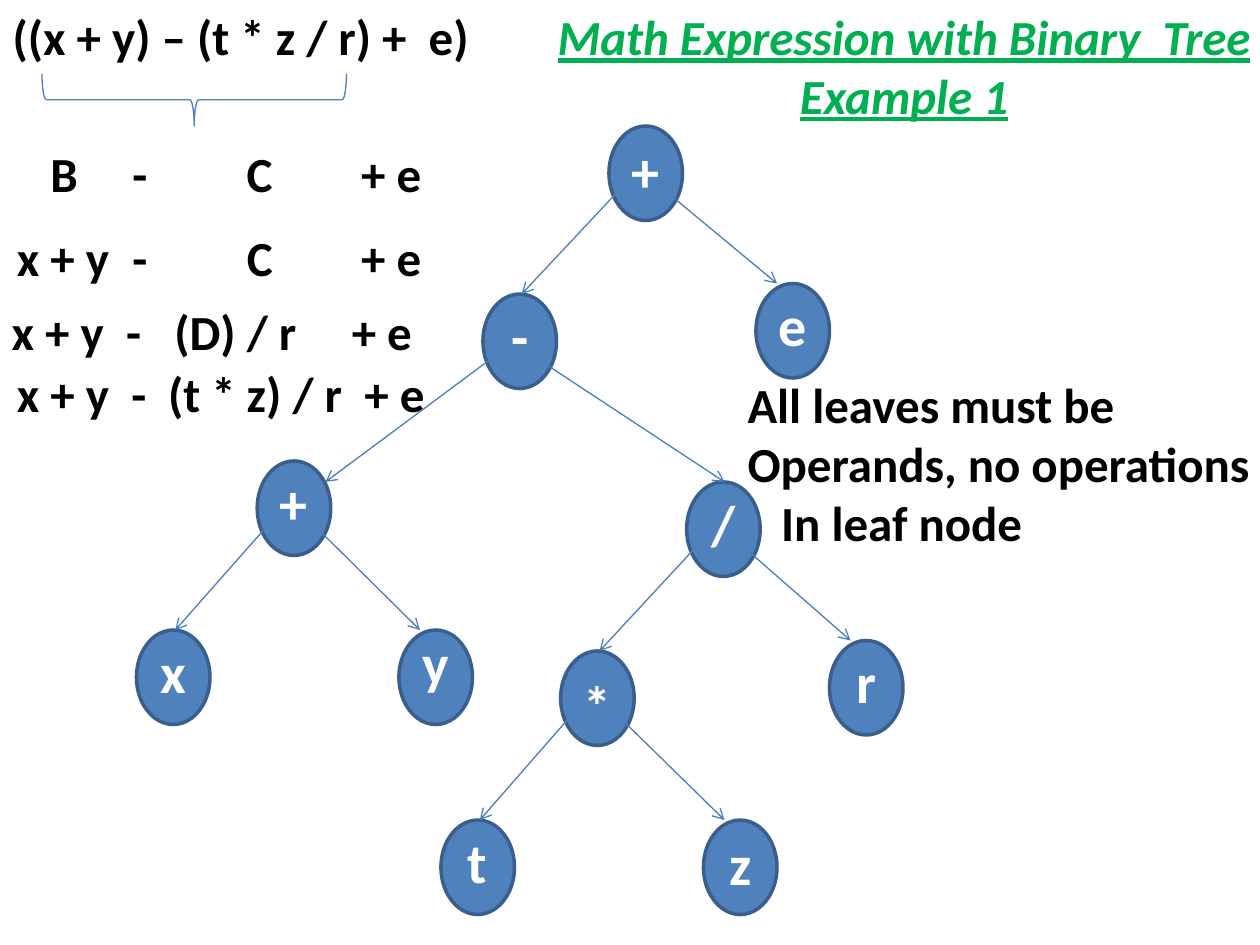
from dataclasses import dataclass
from lxml.etree import SubElement
from pptx import Presentation
from pptx.dml.color import RGBColor
from pptx.enum.shapes import MSO_CONNECTOR, MSO_SHAPE
from pptx.enum.text import MSO_ANCHOR, MSO_AUTO_SIZE, PP_ALIGN
from pptx.oxml.ns import qn
from pptx.util import Inches, Pt


@dataclass(frozen=True)
class Theme:
    """Colours, font and type sizes of the slide."""
    font: str = "Calibri"
    ink: str = "000000"
    heading: str = "00B050"
    node: str = "4F81BD"
    outline: str = "3A5F8C"
    edge: str = "4B7EBC"
    label: str = "FFFFFF"
    text_size: int = 28
    label_size: int = 32


def grid(cells):
    """Turn grid cells, twelve to the inch, into a length."""
    return Inches(cells / 12)


class TreeSlide:
    """Draws the parts of an expression tree on one slide."""

    def __init__(self, deck, theme):
        self.theme = theme
        self.slide = deck.slides.add_slide(deck.slide_layouts[1])

    def style(self, frame, color, size, italic=False, underline=False):
        for paragraph in frame.paragraphs:
            paragraph.space_before = Pt(0)
            for run in paragraph.runs:
                font = run.font
                font.name, font.size, font.bold = self.theme.font, Pt(size), True
                font.italic, font.underline = italic, underline
                font.color.rgb = RGBColor.from_string(color)

    def fill_placeholder(self, index, box, lines):
        holder = self.slide.placeholders[index]
        holder.left, holder.top, holder.width, holder.height = map(grid, box)
        frame = holder.text_frame
        frame.text = "\n".join(lines)
        frame.auto_size, frame.word_wrap = MSO_AUTO_SIZE.NONE, False
        frame.vertical_anchor = MSO_ANCHOR.TOP
        return frame

    def title(self, box, lines):
        frame = self.fill_placeholder(0, box, lines)
        for paragraph in frame.paragraphs:
            paragraph.alignment = PP_ALIGN.CENTER
        self.style(frame, self.theme.heading, self.theme.text_size, True, True)

    def note(self, box, lines, indents):
        frame = self.fill_placeholder(1, box, lines)
        self.style(frame, self.theme.ink, self.theme.text_size)
        for paragraph, indent in zip(frame.paragraphs, indents):
            properties = paragraph._p.get_or_add_pPr()
            properties.set("marL", str(grid(indent)))
            properties.set("indent", "0")
            SubElement(properties, qn("a:buNone"))

    def expression(self, row, terms):
        start = terms[0][0]
        box = self.slide.shapes.add_textbox(
            grid(start), grid(row), grid(50 - start), grid(6.8))
        frame = box.text_frame
        frame.word_wrap = True
        frame.margin_left = frame.margin_right = 0
        frame.text = "\t".join(term for _, term in terms)
        self.style(frame, self.theme.ink, self.theme.text_size)
        if len(terms) > 1:
            stops = SubElement(frame.paragraphs[0]._p.get_or_add_pPr(), qn("a:tabLst"))
            for column, _ in terms[1:]:
                SubElement(stops, qn("a:tab"), pos=str(grid(column - start)), algn="l")

    def brace(self, box, angle):
        brace = self.slide.shapes.add_shape(MSO_SHAPE.LEFT_BRACE, *map(grid, box))
        brace.rotation = angle
        brace.shadow.inherit = False
        brace.fill.background()
        brace.line.color.rgb = RGBColor.from_string(self.theme.edge)
        brace.line.width = Pt(0.75)

    def node(self, column, row, symbol, lift):
        oval = self.slide.shapes.add_shape(
            MSO_SHAPE.OVAL, grid(column), grid(row), grid(7), grid(9))
        oval.shadow.inherit = False
        oval.fill.solid()
        oval.fill.fore_color.rgb = RGBColor.from_string(self.theme.node)
        oval.line.color.rgb = RGBColor.from_string(self.theme.outline)
        oval.line.width = Pt(2)
        frame = oval.text_frame
        frame.margin_left = frame.margin_right = 0
        frame.margin_top, frame.margin_bottom = grid(max(-lift, 0)), grid(max(lift, 0))
        frame.word_wrap = False
        frame.vertical_anchor = MSO_ANCHOR.MIDDLE
        frame.text = symbol
        frame.paragraphs[0].alignment = PP_ALIGN.CENTER
        self.style(frame, self.theme.label, self.theme.label_size)

    def arrow(self, start, end):
        edge = self.slide.shapes.add_connector(
            MSO_CONNECTOR.STRAIGHT, *map(grid, (*start, *end)))
        edge.line.color.rgb = RGBColor.from_string(self.theme.edge)
        edge.line.width = Pt(0.75)
        properties = edge._element.spPr
        SubElement(properties.find(qn("a:ln")), qn("a:tailEnd"), type="arrow")
        SubElement(properties, qn("a:effectLst"))


NODES = {
    "sum": (58, 12, "+", 0.6), "e": (72, 27, "e", 1.2),
    "minus": (46, 28, "-", 1.2), "inner sum": (24.5, 43.9, "+", 1.2),
    "x": (13, 60, "x", 1.2), "y": (38, 60, "y", 2.8),
    "divide": (65.4, 45.9, "/", 1.2), "r": (79, 61, "r", 1.2),
    "times": (53.4, 62, "*", -1.2), "t": (42, 78.1, "t", 1.2),
    "z": (67, 78.1, "z", 0.8),
}
BRANCHES = {
    "sum": ("minus", "e"), "minus": ("inner sum", "divide"),
    "inner sum": ("x", "y"), "divide": ("times", "r"), "times": ("t", "z"),
}
EXITS = ((2, 5), (6, 6.7))
ENTRIES = ((3.7, 0), (2, 0))
WIDE_EXITS = ((1, 6), (6, 6.7))
WIDE_ENTRIES = ((6.5, 2), (3.6, 0))
EXPRESSIONS = (
    (0, [(1.2, "((x + y) – (t * z / r) +  e)")]),
    (13.1, [(4.8, "B"), (12.6, "-"), (23.5, "C"), (34.4, "+ e")]),
    (21.1, [(1.6, "x + y"), (12.6, "-"), (23.5, "C"), (34.4, "+ e")]),
    (28.1, [(1.1, "x + y"), (12, "-"), (16.6, "(D) / r"), (33.5, "+ e")]),
    (34, [(1.6, "x + y"), (12.5, "-"), (16, "(t * z) / r"), (34.7, "+ e")]),
)


def offset(name, shift):
    """Return the point that lies a shift away from a node's corner."""
    return tuple(place + step for place, step in zip(NODES[name], shift))


def main():
    """Build the slide and save it."""
    deck = Presentation()
    deck.slide_width, deck.slide_height = Inches(10), Inches(7.5)
    tree = TreeSlide(deck, Theme())
    tree.title((51.5, 0, 69.2, 12.5), ("Math Expression with Binary  Tree", "Example 1"))
    tree.note((70, 35.1, 50.8, 18.1),
              ("All leaves must be", "Operands, no operations", "In leaf node"),
              (0, 0, 3.2))
    for row, terms in EXPRESSIONS:
        tree.expression(row, terms)
    tree.brace((16, -5, 5, 29), 270)
    for node in NODES.values():
        tree.node(*node)
    for parent, children in BRANCHES.items():
        wide = parent == "minus"
        exits = WIDE_EXITS if wide else EXITS
        entries = WIDE_ENTRIES if wide else ENTRIES
        for child, leave, enter in zip(children, exits, entries):
            tree.arrow(offset(parent, leave), offset(child, enter))
    deck.save("out.pptx")


main()
